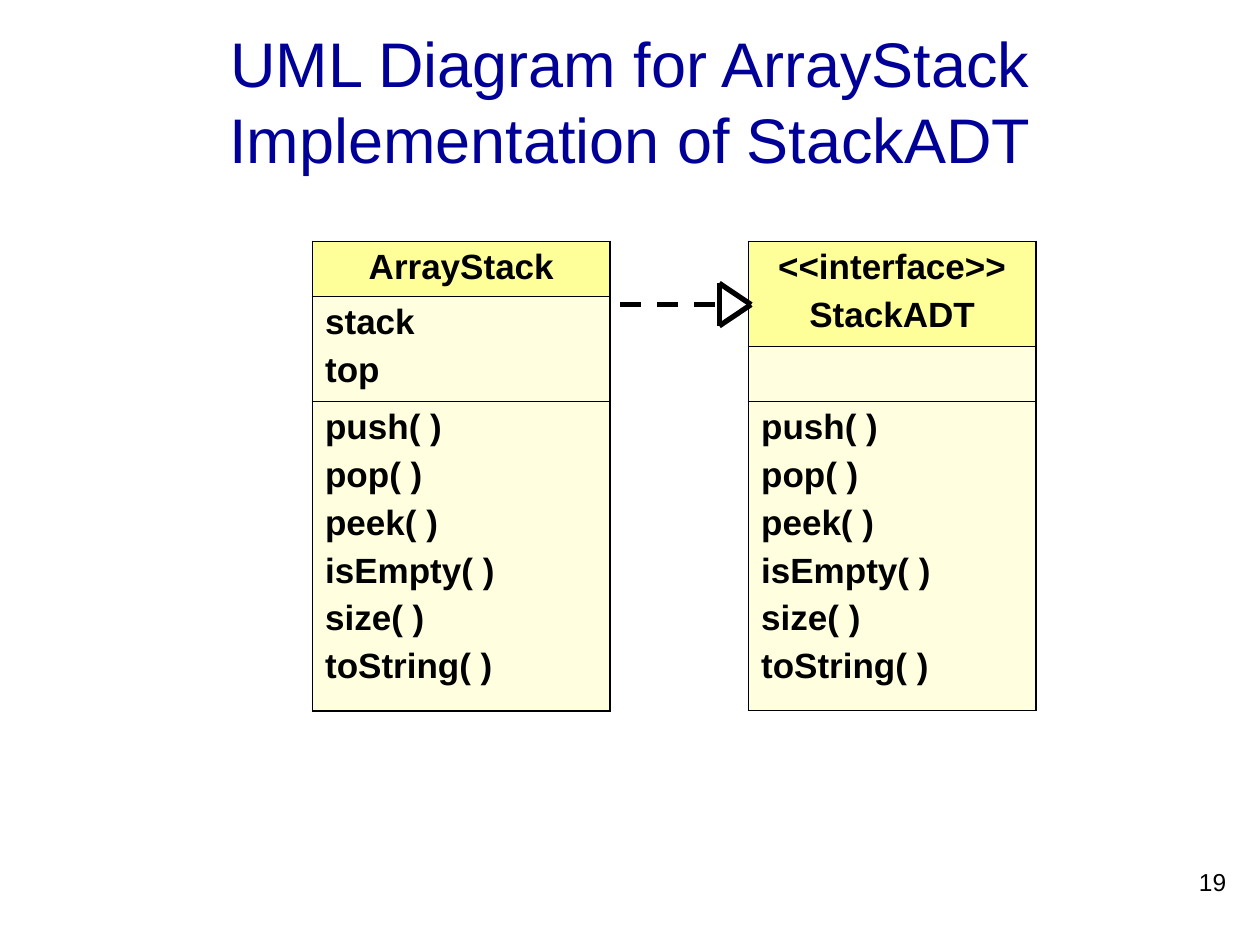
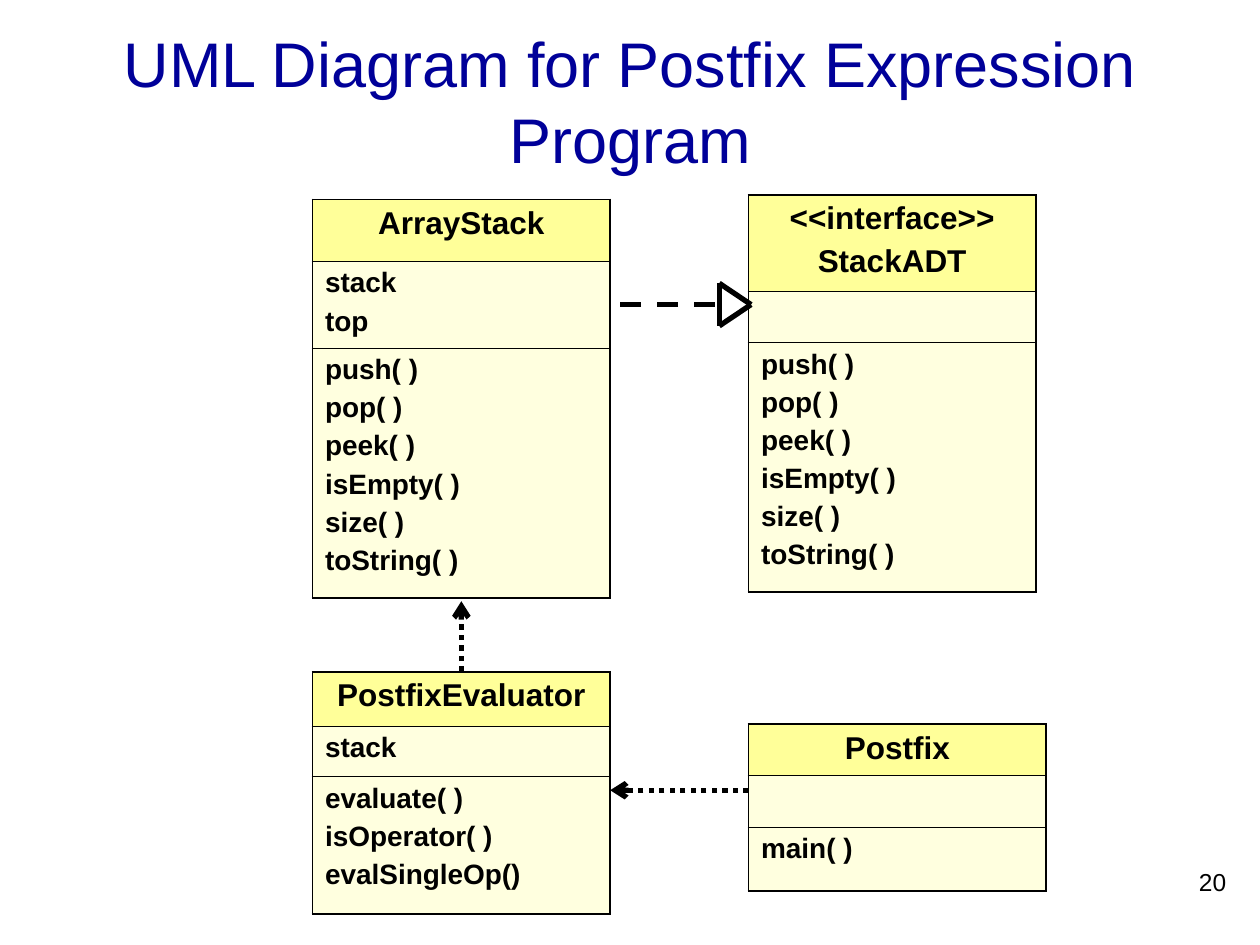
from dataclasses import dataclass

from lxml.etree import SubElement
from pptx import Presentation
from pptx.dml.color import RGBColor
from pptx.enum.dml import MSO_LINE
from pptx.enum.shapes import MSO_CONNECTOR
from pptx.enum.text import MSO_ANCHOR, MSO_AUTO_SIZE, PP_ALIGN
from pptx.oxml.ns import qn
from pptx.slide import Slide
from pptx.util import Cm, Pt

# Shared look
FONT = "Arial"
NAVY, BLACK = "000099", "000000"
HEAD, BODY = "FFFF99", "FFFFDF"
THICK, THIN = 1.08, 0.45

# Shared places, in cm
LEFT, RIGHT = 6.3, 15.09
WIDE, SLIM = 6.0, 5.79
EDGE = LEFT + WIDE
TIP, BASE, MID, HALF = 15.14, 14.5, 6.14, 0.43

STACK = ["stack", "top"]
CALLS = ["push( )", "pop( )", "peek( )", "isEmpty( )", "size( )", "toString( )"]
FACE = ["<<interface>>", "StackADT"]


@dataclass
class Box:
    """A UML class: name, fields and methods, one row each."""
    x: float
    y: float
    width: float
    rows: list[float]
    name: list[str]
    fields: list[str]
    calls: list[str]


@dataclass
class Line:
    x1: float
    y1: float
    x2: float
    y2: float
    dash: MSO_LINE | None = None
    arrow: bool = False


@dataclass
class Page:
    title: str
    number: str
    sizes: tuple[int, int, int]
    boxes: list[Box]
    lines: list[Line]


def paint(code: str) -> RGBColor:
    return RGBColor.from_string(code)


def add_run(para, text: str, size: float, color: str = BLACK, bold: bool = False) -> None:
    run = para.add_run()
    run.text = text
    font = run.font
    font.name, font.size, font.bold = FONT, Pt(size), bold
    font.color.rgb = paint(color)


def add_edge(cell, side: str, width: float) -> None:
    edge = SubElement(cell._tc.get_or_add_tcPr(), qn(f"a:ln{side}"), w=str(Pt(width)))
    fill = SubElement(edge, qn("a:solidFill"))
    SubElement(fill, qn("a:srgbClr"), val=BLACK)


def fill_cell(cell, texts: list[str], size: int, row: int) -> None:
    # Outer edges are thick, inner ones thin
    for side, thick in (("L", True), ("R", True), ("T", row == 0), ("B", row == 2)):
        add_edge(cell, side, THICK if thick else THIN)
    cell.fill.solid()
    cell.fill.fore_color.rgb = paint(BODY if row else HEAD)
    frame = cell.text_frame
    for i, text in enumerate(texts):
        para = frame.add_paragraph() if i else frame.paragraphs[0]
        para.alignment = PP_ALIGN.LEFT if row else PP_ALIGN.CENTER
        if i:
            para.space_before = Pt(size / 4)
        add_run(para, text, size, bold=True)


def add_box(slide: Slide, box: Box, sizes: tuple[int, int, int]) -> None:
    table = slide.shapes.add_table(3, 1, Cm(box.x), Cm(box.y), Cm(box.width),
                                   Cm(sum(box.rows))).table
    table.first_row = table.horz_banding = False
    for row, texts in enumerate((box.name, box.fields, box.calls)):
        table.rows[row].height = Cm(box.rows[row])
        fill_cell(table.cell(row, 0), texts, sizes[row], row)


def add_line(slide: Slide, line: Line) -> None:
    link = slide.shapes.add_connector(MSO_CONNECTOR.STRAIGHT, Cm(line.x1), Cm(line.y1),
                                      Cm(line.x2), Cm(line.y2))
    link.line.width = Pt(3)
    link.line.color.rgb = paint(BLACK)
    if line.dash:
        link.line.dash_style = line.dash
    props = link._element.spPr
    if line.arrow:
        SubElement(props.find(qn("a:ln")), qn("a:tailEnd"), type="arrow")
    SubElement(props, qn("a:effectLst"))


def add_title(slide: Slide, text: str) -> None:
    title = slide.shapes.title
    title.left, title.top, title.width, title.height = Cm(1.9), Cm(0.43), Cm(21.6), Cm(3.18)
    frame = title.text_frame
    frame.word_wrap, frame.auto_size = True, MSO_AUTO_SIZE.NONE
    frame.vertical_anchor = MSO_ANCHOR.MIDDLE
    para = frame.paragraphs[0]
    para.alignment = PP_ALIGN.CENTER
    add_run(para, text, 36, NAVY)


def add_number(slide: Slide, text: str) -> None:
    frame = slide.shapes.add_textbox(Cm(19.69), Cm(17.35), Cm(5.28), Cm(1.27)).text_frame
    frame.word_wrap = True
    para = frame.paragraphs[0]
    para.alignment = PP_ALIGN.RIGHT
    add_run(para, text, 14)


# Hollow arrow from ArrayStack to StackADT, the same on both slides
REAL = [
    Line(BASE, MID - HALF, BASE, MID + HALF),
    Line(BASE, MID - HALF, TIP, MID),
    Line(TIP, MID, BASE, MID + HALF),
    Line(14.41, MID, EDGE, MID, MSO_LINE.DASH),
]

PAGES = [
    Page("UML Diagram for ArrayStack Implementation of StackADT", "19", (20, 20, 20), [
        Box(RIGHT, 4.87, SLIM, [2.12, 1.11, 6.22], FACE, [], CALLS),
        Box(LEFT, 4.87, WIDE, [1.11, 2.12, 6.23], ["ArrayStack"], STACK, CALLS),
    ], REAL),
    Page("UML Diagram for Postfix Expression Program", "20", (18, 16, 16), [
        Box(RIGHT, 3.93, SLIM, [1.95, 1.03, 5.03], FACE, [], CALLS),
        Box(LEFT, 4.02, WIDE, [1.25, 1.75, 5.03], ["ArrayStack"], STACK, CALLS),
        Box(RIGHT, 14.6, WIDE, [1.03, 1.04, 1.29], ["Postfix"], [], ["main( )"]),
        Box(LEFT, 13.54, WIDE, [1.1, 1.02, 2.76], ["PostfixEvaluator"], ["stack"],
            ["evaluate( )", "isOperator( )", "evalSingleOp()"]),
    ], [
        Line(RIGHT, 15.93, EDGE, 15.93, MSO_LINE.ROUND_DOT, True),
        Line(LEFT + WIDE / 2, 13.54, LEFT + WIDE / 2, 12.12, MSO_LINE.ROUND_DOT, True),
        *REAL,
    ]),
]


def main() -> None:
    deck = Presentation()
    deck.slide_width, deck.slide_height = Cm(25.4), Cm(19.05)
    for page in PAGES:
        slide = deck.slides.add_slide(deck.slide_layouts[5])
        add_title(slide, page.title)
        for box in page.boxes:
            add_box(slide, box, page.sizes)
        for line in page.lines:
            add_line(slide, line)
        add_number(slide, page.number)
    deck.save("out.pptx")


if __name__ == "__main__":
    main()
